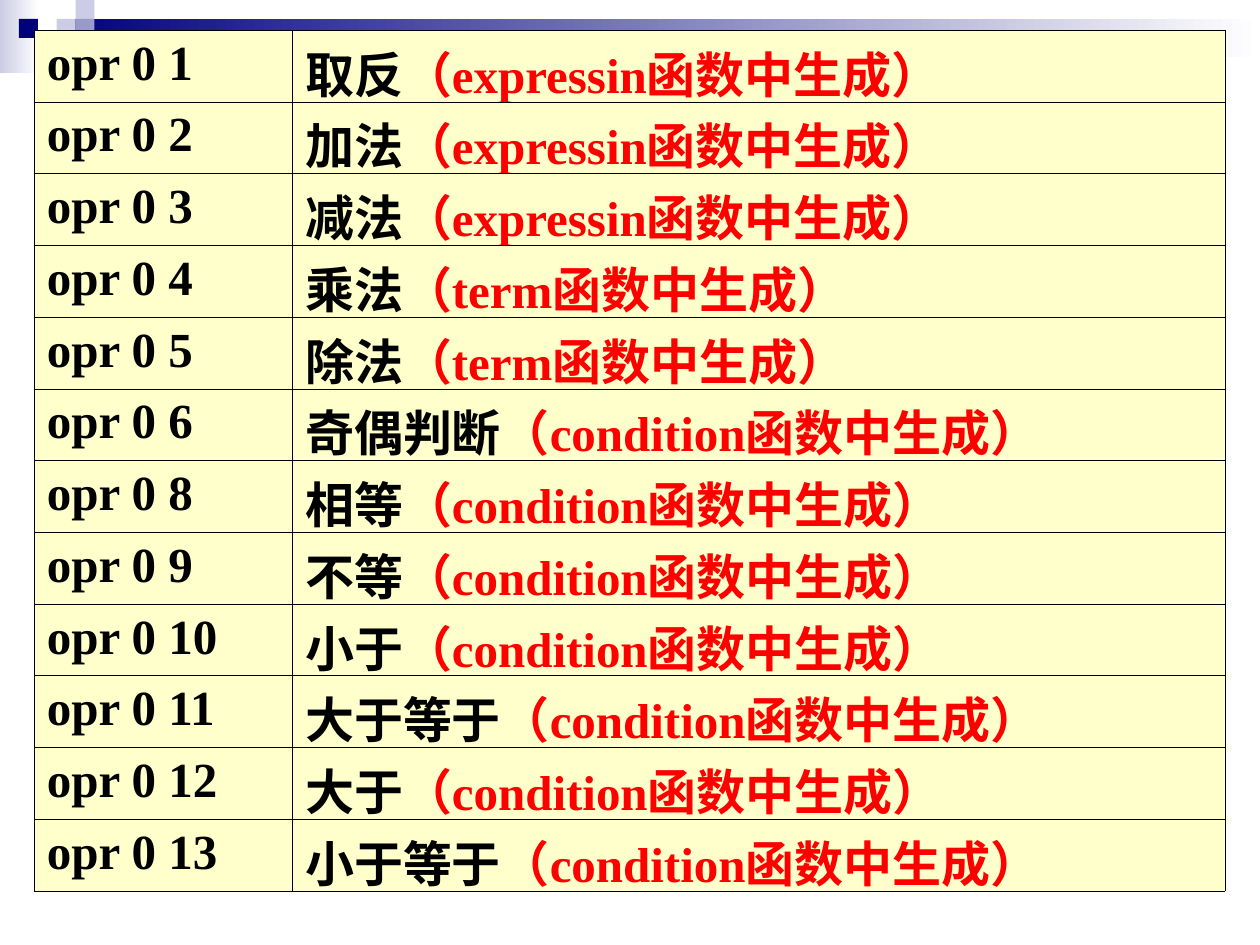
from dataclasses import dataclass

from lxml import etree
from pptx import Presentation
from pptx.dml.color import RGBColor
from pptx.enum import shapes
from pptx.oxml import ns
from pptx.util import Pt


@dataclass(frozen=True)
class Theme:
    navy: str = "00007D"
    blue: str = "9999CC"
    pale: str = "CCCCE6"
    white: str = "FFFFFF"
    cream: str = "FFFFCC"
    black: str = "000000"
    red: str = "FF0000"
    font: str = "Times New Roman"
    size: float = 28
    rule: float = 0.45


THEME = Theme()

# Operation name and the function that emits it, by opcode
OPS = {
    1: ("取反", "expressin"),
    2: ("加法", "expressin"),
    3: ("减法", "expressin"),
    4: ("乘法", "term"),
    5: ("除法", "term"),
    6: ("奇偶判断", "condition"),
    8: ("相等", "condition"),
    9: ("不等", "condition"),
    10: ("小于", "condition"),
    11: ("大于等于", "condition"),
    12: ("大于", "condition"),
    13: ("小于等于", "condition"),
}


def rgb(tone):
    return RGBColor.from_string(tone)


def add_rect(slide, box, tone, fade=None):
    rect = slide.shapes.add_shape(
        shapes.MSO_SHAPE.RECTANGLE, *[Pt(side) for side in box])
    rect.shadow.inherit = False
    rect.line.fill.background()
    if fade:
        rect.fill.gradient()
        rect.fill.gradient_angle = 0
        stops = rect.fill.gradient_stops
        for stop, shade, place in zip(stops, (tone, fade), (0, 1)):
            stop.color.rgb = rgb(shade)
            stop.position = place
    else:
        rect.fill.solid()
        rect.fill.fore_color.rgb = rgb(tone)


def add_band(slide, box):
    """Fading bars with a cluster of small squares at the left."""
    left, top, width, height = box
    unit = 10.8
    start = left + 3 * unit
    add_rect(slide, (left, top, 22.3, height), THEME.pale, THEME.white)
    add_rect(slide, (start, top + unit, width - 3 * unit, 2 * unit),
             THEME.navy, THEME.white)
    # Squares by column and row of the unit grid
    squares = [
        (3, 1, THEME.pale), (4, 0, THEME.pale), (4, 1, THEME.blue),
        (2, 2, THEME.pale), (1, 1, THEME.navy), (3, 2, THEME.blue),
        (2, 3, THEME.blue),
    ]
    for col, row, tone in squares:
        add_rect(slide, (left + col * unit, top + row * unit, unit, unit), tone)


def add_edges(cell):
    props = cell._tc.get_or_add_tcPr()
    for place, side in enumerate(("lnL", "lnR", "lnT", "lnB")):
        line = etree.Element(ns.qn("a:" + side), w=str(int(Pt(THEME.rule))))
        fill = etree.SubElement(line, ns.qn("a:solidFill"))
        etree.SubElement(fill, ns.qn("a:srgbClr"), val=THEME.black)
        props.insert(place, line)


def fill_cell(cell, parts):
    cell.fill.solid()
    cell.fill.fore_color.rgb = rgb(THEME.cream)
    # The tall CJK line may run past the foot, so rows keep their height
    cell.margin_bottom = Pt(-3.2)
    add_edges(cell)
    para = cell.text_frame.paragraphs[0]
    form = {"name": THEME.font, "size": Pt(THEME.size), "bold": True}
    for words, tone in parts:
        run = para.add_run()
        run.text = words
        for key, value in form.items():
            setattr(run.font, key, value)
        run.font.color.rgb = rgb(tone)


def add_codes(slide, box):
    """Table of opcodes and their meanings."""
    left, top, width, height = box
    frame = slide.shapes.add_table(
        len(OPS), 2, Pt(left), Pt(top), Pt(width), Pt(height))
    table = frame.table
    table.first_row = table.horz_banding = False
    first = 147.6
    for col, span in zip(table.columns, (first, width - first)):
        col.width = Pt(span)
    for row, (code, (name, maker)) in zip(table.rows, OPS.items()):
        row.height = Pt(height / len(OPS))
        fill_cell(row.cells[0], [(f"opr 0 {code}", THEME.black)])
        fill_cell(row.cells[1], [(name, THEME.black),
                                 (f"（{maker}函数中生成）", THEME.red)])


def main():
    deck = Presentation()
    deck.slide_width, deck.slide_height = Pt(720), Pt(540)
    slide = deck.slides.add_slide(deck.slide_layouts[6])
    add_band(slide, (0, 0, 720, 41.8))
    add_codes(slide, (19.6, 17.3, 680.4, 492))
    deck.save("out.pptx")


if __name__ == "__main__":
    main()
